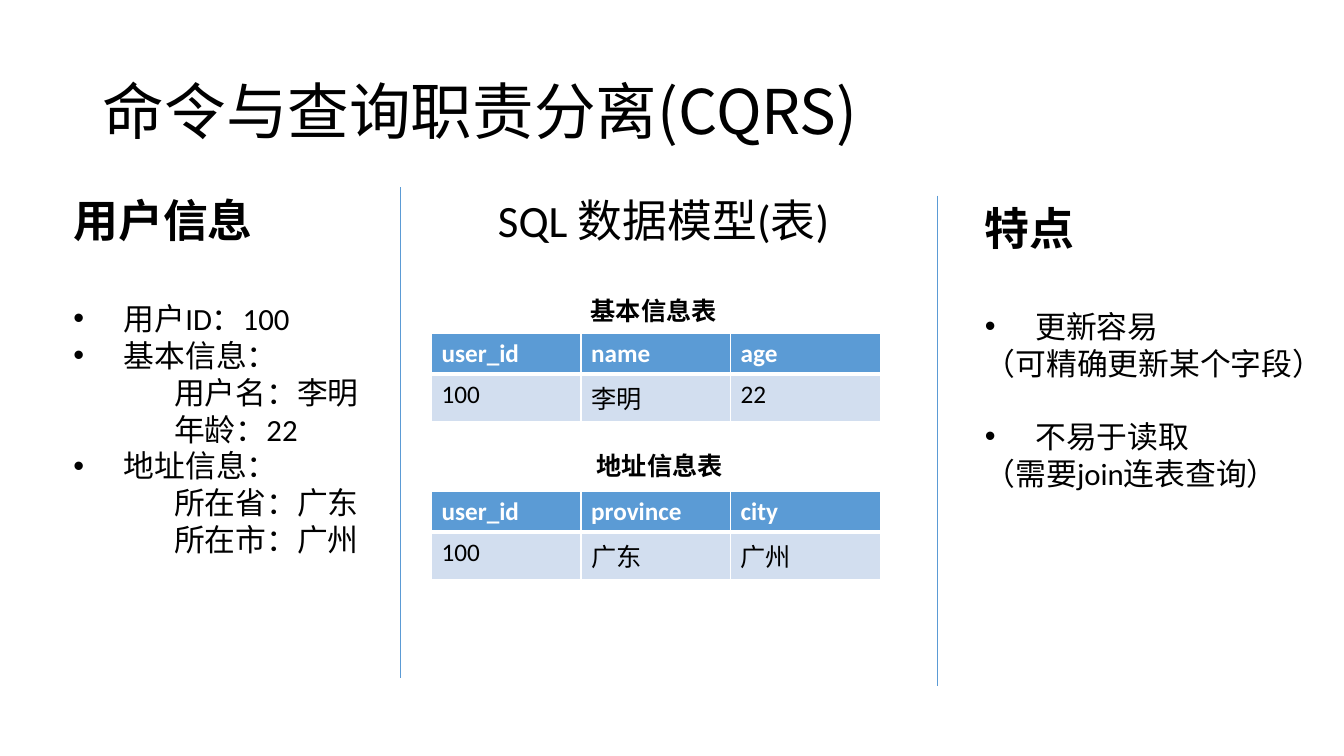
from pptx import Presentation, util as u
from pptx.dml.color import RGBColor
from pptx.enum import shapes, text
from pptx.oxml import parse_xml
from pptx.oxml.ns import nsdecls

# Content
TITLE = "命令与查询职责分离(CQRS)"
MODEL_HEADING = "SQL 数据模型(表)"
# Each line: kind, text
USER_INFO = [
    ("heading", "用户信息"),
    ("first", "用户ID：100"),
    ("bullet", "基本信息："),
    ("detail", "用户名：李明"),
    ("detail", "年龄：22"),
    ("bullet", "地址信息："),
    ("detail", "所在省：广东"),
    ("detail", "所在市：广州"),
]
FEATURES = [
    ("heading", "特点"),
    ("first", "更新容易"),
    ("plain", "（可精确更新某个字段）"),
    ("next", "不易于读取"),
    ("plain", "（需要join连表查询）"),
]
# Each table: caption, caption left, caption top, table top, rows
TABLES = [
    ("基本信息表", 5.76, 2.88, 3.31,
     [("user_id", "name", "age"), ("100", "李明", "22")]),
    ("地址信息表", 5.82, 4.42, 4.88,
     [("user_id", "province", "city"), ("100", "广东", "广州")]),
]

# Look
COLORS = {"ink": "000000", "accent": "5B9BD5", "band": "D2DEEF", "white": "FFFFFF"}
LATIN, CJK = "Calibri", "Noto Sans CJK SC"
GAPS = {"first": 38, "next": 26}  # points above a line
INDENTS = {"first": 0.5, "bullet": 0.5, "next": 0.5, "detail": 1}

# Layout in inches
TOP, STEP = 1.86, 0.08  # the right column sits one step lower
TABLE_LEFT, COLUMN_WIDTH = 4.28, 4.45 / 3
ROW_HEIGHTS = (0.4, 0.47)
DIVIDER_LENGTH = 4.87
DIVIDERS = [(3.97, TOP), (9.3, TOP + STEP)]


def color(name):
    return RGBColor.from_string(COLORS[name])


def write(paragraph, words, size=18, bold=False, ink="ink", font=LATIN):
    run = paragraph.add_run()
    run.text = words
    run.font.size, run.font.bold, run.font.name = u.Pt(size), bold, font
    run.font.color.rgb = color(ink)
    run.font._element.append(
        parse_xml(f'<a:ea {nsdecls("a")} typeface="{CJK}"/>'))


def add_frame(left, top, width, height, wrap=False):
    box = slide.shapes.add_textbox(*map(u.Inches, (left, top, width, height)))
    box.text_frame.word_wrap = wrap
    box.text_frame.auto_size = text.MSO_AUTO_SIZE.SHAPE_TO_FIT_TEXT
    return box.text_frame


def add_list(lines, *place):
    frame = add_frame(*place)
    for number, (kind, words) in enumerate(lines):
        paragraph = frame.add_paragraph() if number else frame.paragraphs[0]
        heading = kind == "heading"
        write(paragraph, words, size=32 if heading else 22, bold=heading)
        paragraph.space_before = u.Pt(GAPS.get(kind, 0))
        properties = paragraph._p.get_or_add_pPr()
        properties.set("marL", str(u.Inches(INDENTS.get(kind, 0))))
        if kind in ("first", "bullet", "next"):
            properties.set("indent", str(-u.Inches(INDENTS[kind])))
            for xml in ('<a:buFont {} typeface="Arial"/>', '<a:buChar {} char="•"/>'):
                properties.append(parse_xml(xml.format(nsdecls("a"))))


def border(cell, widths):
    """Widths in points by side, in the order L, R, T, B."""
    for place, (side, width) in enumerate(widths.items()):
        cell._tc.get_or_add_tcPr().insert(place, parse_xml(
            f'<a:ln{side} {nsdecls("a")} w="{u.Pt(width)}"><a:solidFill>'
            f'<a:srgbClr val="{COLORS["white"]}"/></a:solidFill></a:ln{side}>'))


def add_data_table(rows, top):
    grid = slide.shapes.add_table(
        len(rows), len(rows[0]), u.Inches(TABLE_LEFT), u.Inches(top),
        u.Inches(COLUMN_WIDTH * len(rows[0])), u.Inches(sum(ROW_HEIGHTS))).table
    for column in grid.columns:
        column.width = u.Inches(COLUMN_WIDTH)
    for r, values in enumerate(rows):
        grid.rows[r].height = u.Inches(ROW_HEIGHTS[r])
        header = r == 0
        for c, value in enumerate(values):
            cell = grid.cell(r, c)
            cell.fill.solid()
            cell.fill.fore_color.rgb = color("accent" if header else "band")
            border(cell, {"L": 1, "R": 1, "T": 1 if header else 3, "B": 3 if header else 1})
            write(cell.text_frame.paragraphs[0], value, bold=header,
                  ink="white" if header else "ink")


prs = Presentation()
prs.slide_width, prs.slide_height = u.Inches(13.33), u.Inches(7.5)
slide = prs.slides.add_slide(prs.slide_layouts[5])

# Title
title = slide.shapes.title
title.left, title.top, title.width, title.height = map(u.Inches, (0.92, 0.41, 11.5, 1.45))
title.text_frame.vertical_anchor = text.MSO_ANCHOR.MIDDLE
title_line = title.text_frame.paragraphs[0]
title_line.alignment = text.PP_ALIGN.LEFT
title_line.line_spacing = 0.9
write(title_line, TITLE, size=44, font=CJK)

# Columns of text
model_heading = add_frame(4.84, TOP, 3.65, 0.64, wrap=True)
write(model_heading.paragraphs[0], MODEL_HEADING, size=32)
add_list(USER_INFO, 0.63, TOP, 3.03, 3.77)
add_list(FEATURES, 9.67, TOP + STEP, 3.56, 3.4)

# Dividers
for x, y in DIVIDERS:
    divider = slide.shapes.add_connector(
        shapes.MSO_CONNECTOR.STRAIGHT,
        *map(u.Inches, (x, y, x, y + DIVIDER_LENGTH)))
    divider.line.color.rgb = color("accent")
    divider.line.width = u.Pt(0.5)
    divider._element.spPr.append(parse_xml(f'<a:effectLst {nsdecls("a")}/>'))

# Tables with captions
for caption, caption_left, caption_top, table_top, rows in TABLES:
    add_data_table(rows, table_top)
    caption_frame = add_frame(caption_left, caption_top, 1.45, 0.4)
    write(caption_frame.paragraphs[0], caption, bold=True)

prs.save("out.pptx")
